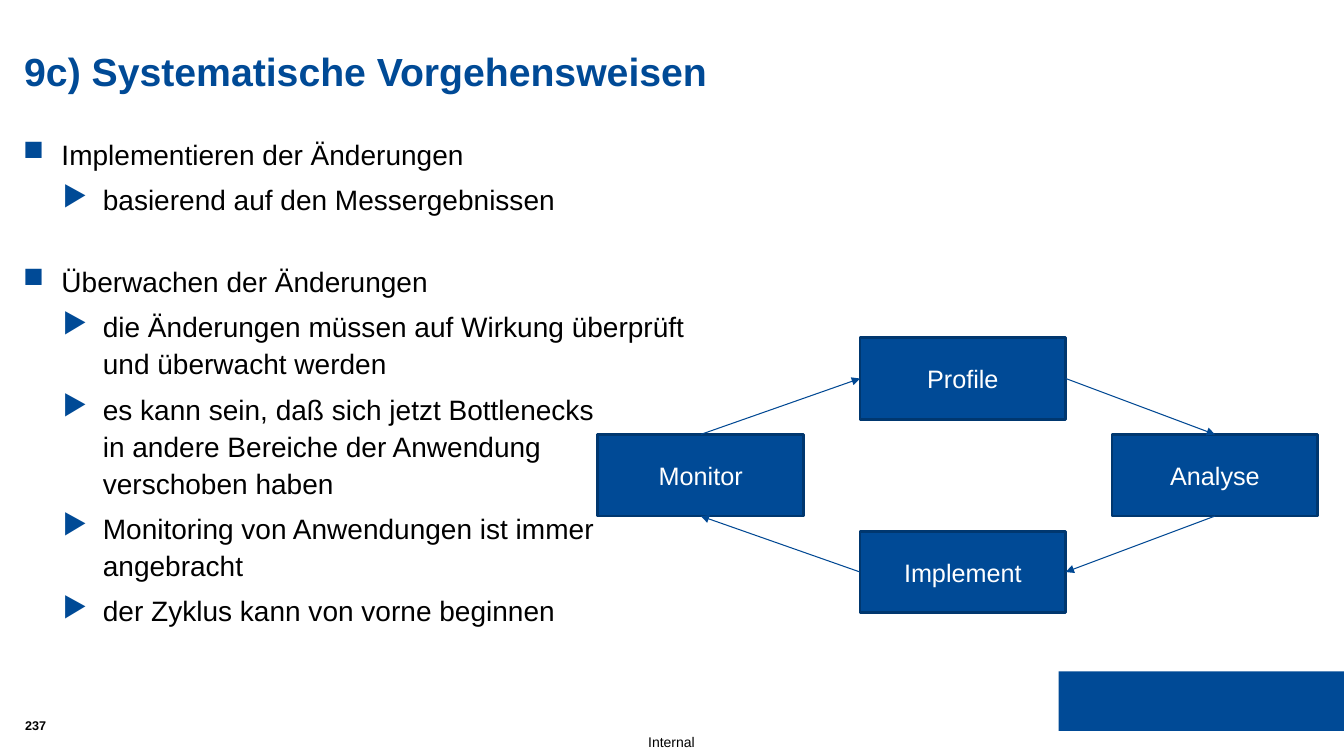
"""Build the slide on systematic tuning steps with its four-step cycle."""
from lxml.etree import SubElement
from pptx import Presentation
from pptx.dml.color import RGBColor as RGB
from pptx.enum.shapes import MSO_CONNECTOR as Line, MSO_SHAPE as Shape
from pptx.enum.text import MSO_ANCHOR as Anchor, PP_ALIGN as Align
from pptx.oxml.ns import qn
from pptx.util import Inches as In, Pt

COLORS = {"blue": "004A96", "edge": "00376F", "arrow": "004893",
          "black": "000000", "white": "FFFFFF"}
HUES = {name: RGB.from_string(code) for name, code in COLORS.items()}
BULLETS = [("■", 0.38, 0.38), ("▶", 0.79, 0.4)]


def write(box, items, size, hue="black", bold=False, align=Align.LEFT,
          anchor=Anchor.TOP, bullets=False):
    """Fill a box with (level, space before, text) items."""
    frame = box.text_frame
    frame.word_wrap = True
    frame.vertical_anchor = anchor
    frame.margin_left = frame.margin_right = 0
    frame.margin_top = frame.margin_bottom = 0
    for i, (level, space, text) in enumerate(items):
        para = frame.add_paragraph() if i else frame.paragraphs[0]
        para.text = text.replace("\n", "\v")
        para.alignment = align
        if bullets:
            mark, left, hang = BULLETS[level]
            props = para._p.get_or_add_pPr()
            props.set("marL", str(In(left)))
            props.set("indent", str(-In(hang)))
            tint = SubElement(props, qn("a:buClr"))
            SubElement(tint, qn("a:srgbClr"), val=COLORS["blue"])
            SubElement(props, qn("a:buChar"), char=mark)
            para.level = level
            para.line_spacing = 1.1
            para.space_before = Pt(space)
        for font in [para.font] + [run.font for run in para.runs]:
            font.name = "Arial"
            font.size = Pt(size)
            font.bold = bold
            font.color.rgb = HUES[hue]


deck = Presentation()
deck.slide_width, deck.slide_height = In(13.33), In(7.5)
slide = deck.slides.add_slide(deck.slide_layouts[5])
shapes = slide.shapes

band = shapes.add_shape(Shape.RECTANGLE, In(10.5), In(6.66), In(2.83), In(0.59))
band.shadow.inherit = False
band.fill.solid()
band.fill.fore_color.rgb = HUES["blue"]
band.line.fill.background()

title = shapes.title
title.left, title.top, title.width, title.height = In(0.24), In(0.47), In(12.84), In(0.93)
write(title, [(0, 0, "9c) Systematische Vorgehensweisen")], 28, "blue", bold=True)

points = [
    (0, 0, "Implementieren der Änderungen"),
    (1, 6, "basierend auf den Messergebnissen"),
    (0, 32, "Überwachen der Änderungen"),
    (1, 6, "die Änderungen müssen auf Wirkung überprüft\nund überwacht werden"),
    (1, 6, "es kann sein, daß sich jetzt Bottlenecks\n"
           "in andere Bereiche der Anwendung\nverschoben haben"),
    (1, 6, "Monitoring von Anwendungen ist immer\nangebracht"),
    (1, 6, "der Zyklus kann von vorne beginnen"),
]
body = shapes.add_textbox(In(0.23), In(1.33), In(12.85), In(5.23))
write(body, points, 20, bullets=True)

label = shapes.add_textbox(In(6.28), In(7.23), In(0.76), In(0.27))
write(label, [(0, 0, "Internal")], 10, align=Align.CENTER, anchor=Anchor.MIDDLE)
number = shapes.add_textbox(In(0.25), In(7.12), In(0.42), In(0.17))
write(number, [(0, 0, "237")], 9, bold=True)

cols = [5.93, 8.53, 11.03]
rows = [3.35 + 0.96 * i for i in range(3)]
steps = {}
for name, col, row in [("Profile", 1, 0), ("Implement", 1, 2),
                       ("Monitor", 0, 1), ("Analyse", 2, 1)]:
    box = shapes.add_shape(Shape.RECTANGLE, In(cols[col]), In(rows[row]), In(2.04), In(0.81))
    box.shadow.inherit = False
    box.fill.solid()
    box.fill.fore_color.rgb = HUES["blue"]
    box.line.color.rgb = HUES["edge"]
    box.line.width = Pt(2)
    write(box, [(0, 0, name)], 18, "white", align=Align.CENTER, anchor=Anchor.MIDDLE)
    steps[name] = box

for start, out, end, into in [("Profile", 3, "Analyse", 0), ("Analyse", 2, "Implement", 3),
                              ("Implement", 1, "Monitor", 2), ("Monitor", 0, "Profile", 1)]:
    arrow = shapes.add_connector(Line.STRAIGHT, 0, 0, 0, 0)
    arrow.begin_connect(steps[start], out)
    arrow.end_connect(steps[end], into)
    arrow.line.color.rgb = HUES["arrow"]
    arrow.line.width = Pt(0.75)
    SubElement(arrow.line._get_or_add_ln(), qn("a:tailEnd"), type="triangle")
    SubElement(arrow._element.spPr, qn("a:effectLst"))

deck.save("out.pptx")
